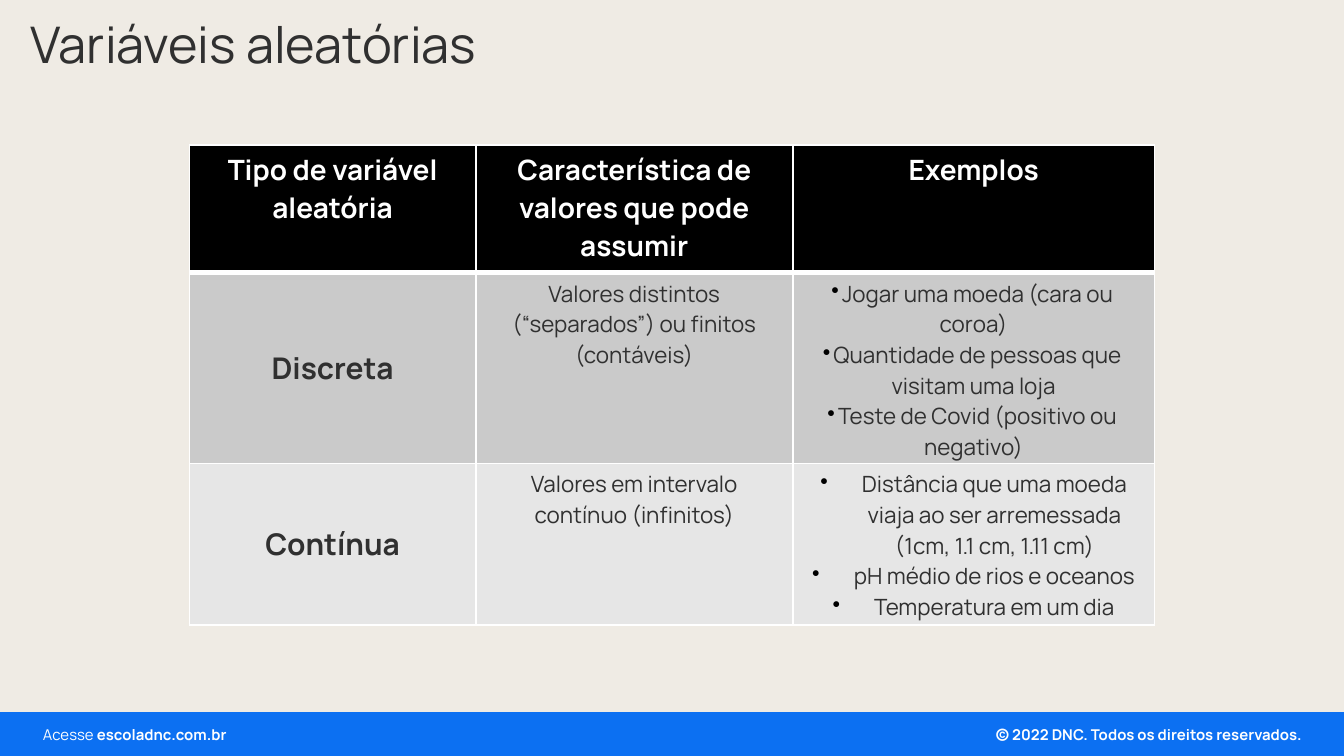
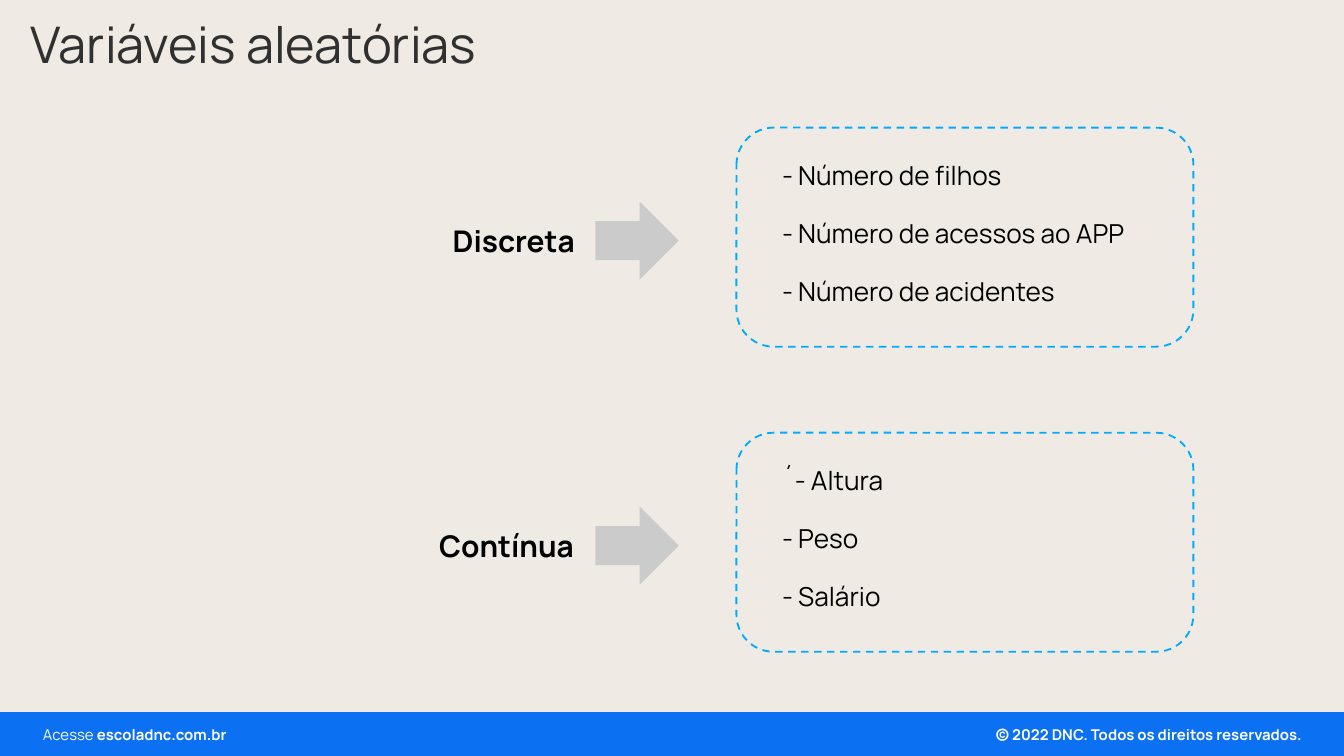
from dataclasses import dataclass

from lxml import etree
from pptx import Presentation
from pptx.dml.color import RGBColor
from pptx.enum.dml import MSO_LINE
from pptx.enum.shapes import MSO_SHAPE
from pptx.enum.text import MSO_ANCHOR, MSO_AUTO_SIZE, PP_ALIGN
from pptx.oxml.ns import qn
from pptx.util import Emu, Pt

RECTANGLE = MSO_SHAPE.RECTANGLE
ROUNDED = MSO_SHAPE.ROUNDED_RECTANGLE
RIGHT_ARROW = MSO_SHAPE.RIGHT_ARROW
LEFT, CENTER, RIGHT = PP_ALIGN.LEFT, PP_ALIGN.CENTER, PP_ALIGN.RIGHT
TOP, MIDDLE = MSO_ANCHOR.TOP, MSO_ANCHOR.MIDDLE
DASH = MSO_LINE.DASH
GROW = MSO_AUTO_SIZE.SHAPE_TO_FIT_TEXT

PX = 4572  # 200 px to the inch
PAGE_WIDTH, PAGE_HEIGHT = 2000, 1125


def px(length):
    return Emu(length * PX)


@dataclass(frozen=True)
class Theme:
    font: str = "Manrope"
    # Colours
    background: str = "EFEBE4"
    band: str = "0C70F2"
    ink: str = "303030"
    black: str = "000000"
    white: str = "FFFFFF"
    arrow: str = "CBCBCB"
    outline: str = "00ABFF"
    table_rows: tuple = ("000000", "CACACA", "E6E6E6")
    # Type sizes and line widths, in points
    title: int = 27
    label: int = 16
    header: int = 15
    item: int = 14
    cell: int = 12
    footer: int = 8
    item_gap: float = 14.4
    thin: int = 1
    thick: int = 3


@dataclass(frozen=True)
class Span:
    text: str
    size: int
    color: str
    bold: bool = False


class SlideMaker:
    def __init__(self, theme):
        self.theme = theme
        self.deck = Presentation()
        self.deck.slide_width = px(PAGE_WIDTH)
        self.deck.slide_height = px(PAGE_HEIGHT)
        self.page = None

    def new_page(self, title):
        theme = self.theme
        self.page = self.deck.slides.add_slide(self.deck.slide_layouts[6])
        fill = self.page.background.fill
        fill.solid()
        fill.fore_color.rgb = RGBColor.from_string(theme.background)
        # Footer band
        self.shape(RECTANGLE, (0, 1060, PAGE_WIDTH, PAGE_HEIGHT - 1060), fill=theme.band)
        rights = Span("© 2022 DNC. Todos os direitos reservados.", theme.footer, theme.white, True)
        visit = Span("Acesse ", theme.footer, theme.white)
        site = Span("escoladnc.com.br", theme.footer, theme.white, True)
        self.text((1418, 1072, 534, 42), [[rights]], align=RIGHT)
        self.text((50, 1072, 492, 42), [[visit, site]])
        # Title
        self.text((32, 12, 1730, 106), [[Span(title, theme.title, theme.ink)]])

    def add_spans(self, para, spans, align):
        para.alignment = align
        for span in spans:
            run = para.add_run()
            run.text = span.text
            font = run.font
            font.name, font.size, font.bold = self.theme.font, Pt(span.size), span.bold
            font.color.rgb = RGBColor.from_string(span.color)

    def text(self, place, lines, align=LEFT, inset=(14, 8), gap=0):
        box = self.page.shapes.add_textbox(*map(px, place))
        frame = box.text_frame
        frame.word_wrap = True
        frame.auto_size = GROW
        frame.margin_left = frame.margin_right = px(inset[0])
        frame.margin_top = frame.margin_bottom = px(inset[1])
        for index, spans in enumerate(lines):
            para = frame.add_paragraph() if index else frame.paragraphs[0]
            if index and gap:
                para.space_before = Pt(gap)
            self.add_spans(para, spans, align)

    def shape(self, kind, place, fill=None, line=None, adjustments=()):
        shape = self.page.shapes.add_shape(kind, *map(px, place))
        shape.shadow.inherit = False
        for index, value in enumerate(adjustments):
            shape.adjustments[index] = value
        if fill:
            shape.fill.solid()
            shape.fill.fore_color.rgb = RGBColor.from_string(fill)
        else:
            shape.fill.background()
        if line:
            shape.line.color.rgb = RGBColor.from_string(line)
            shape.line.width = Pt(self.theme.thin)
            shape.line.dash_style = DASH
        else:
            shape.line.fill.background()

    def bullet(self, para, margin, indent):
        properties = para._p.get_or_add_pPr()
        properties.set("marL", str(px(margin)))
        properties.set("indent", str(px(indent)))
        color = etree.SubElement(properties, qn("a:buClr"))
        etree.SubElement(color, qn("a:srgbClr"), val=self.theme.black)
        etree.SubElement(properties, qn("a:buChar"), char="•")

    def borders(self, cell, row):
        properties = cell._tc.get_or_add_tcPr()
        thick_side = {0: "B", 1: "T"}.get(row)
        for side in "LRTB":
            width = self.theme.thick if side == thick_side else self.theme.thin
            line = etree.SubElement(properties, qn("a:ln" + side), w=str(Pt(width)))
            fill = etree.SubElement(line, qn("a:solidFill"))
            etree.SubElement(fill, qn("a:srgbClr"), val=self.theme.white)

    def cell(self, cell, row, lines, anchor=TOP, bullet=None):
        cell.margin_left = cell.margin_right = px(18)
        cell.margin_top = cell.margin_bottom = px(8)
        cell.vertical_anchor = anchor
        self.borders(cell, row)
        cell.fill.solid()
        cell.fill.fore_color.rgb = RGBColor.from_string(self.theme.table_rows[row])
        frame = cell.text_frame
        for index, span in enumerate(lines):
            para = frame.add_paragraph() if index else frame.paragraphs[0]
            if bullet:
                self.bullet(para, *bullet)
            self.add_spans(para, [span], CENTER)

    def table(self, left, top, widths, heights):
        place = (left, top, sum(widths), sum(heights))
        table = self.page.shapes.add_table(len(heights), len(widths), *map(px, place)).table
        for column, width in zip(table.columns, widths):
            column.width = px(width)
        for row, height in zip(table.rows, heights):
            row.height = px(height)
        return table


TITLE = "Variáveis aleatórias"
HEADERS = ("Tipo de variável aleatória", "Característica de valores que pode assumir", "Exemplos")
# Type, values, examples, bullet margin and indent
VARIABLE_TYPES = (
    ("Discreta", "Valores distintos (“separados”) ou finitos (contáveis)",
     ("Jogar uma moeda (cara ou coroa)",
      "Quantidade de pessoas que visitam uma loja",
      "Teste de Covid (positivo ou negativo)"), (0, -16)),
    ("Contínua", "Valores em intervalo contínuo (infinitos)",
     ("Distância que uma moeda viaja ao ser arremessada (1cm, 1.1 cm, 1.11 cm)",
      "pH médio de rios e oceanos",
      "Temperatura em um dia"), (62, -62)),
)
# Type, label left, label width, examples
EXAMPLES = (
    ("Discreta", 654, 230,
     ("- Número de filhos", "- Número de acessos ao APP", "- Número de acidentes")),
    ("Contínua", 634, 272, ("´- Altura", "- Peso", "- Salário")),
)


def build_type_table(maker):
    theme = maker.theme
    maker.new_page(TITLE)
    table = maker.table(282, 216, (426, 472, 538), (190, 284, 240))
    for column, header in enumerate(HEADERS):
        span = Span(header, theme.header, theme.white, True)
        maker.cell(table.cell(0, column), 0, [span])
    for row, (name, values, examples, bullet) in enumerate(VARIABLE_TYPES, 1):
        label = Span(name, theme.label, theme.ink, True)
        maker.cell(table.cell(row, 0), row, [label], anchor=MIDDLE)
        maker.cell(table.cell(row, 1), row, [Span(values, theme.cell, theme.ink)])
        spans = [Span(example, theme.cell, theme.ink) for example in examples]
        maker.cell(table.cell(row, 2), row, spans, bullet=bullet)


def build_examples(maker):
    theme = maker.theme
    maker.new_page(TITLE)
    for index, (name, left, width, examples) in enumerate(EXAMPLES):
        top = 190 + 454 * index
        label = Span(name, theme.label, theme.black, True)
        maker.text((left, top + 131, width, 74), [[label]], inset=(20, 10))
        maker.shape(RIGHT_ARROW, (886, top + 110, 124, 116), fill=theme.arrow,
                    adjustments=(0.5, 0.5))
        maker.shape(ROUNDED, (1096, top, 680, 326), line=theme.outline, adjustments=(0.17,))
        lines = [[Span(example, theme.item, theme.black)] for example in examples]
        maker.text((1144, top + 37, 582, 256), lines, inset=(20, 10), gap=theme.item_gap)


def main():
    maker = SlideMaker(Theme())
    build_type_table(maker)
    build_examples(maker)
    maker.deck.save("out.pptx")


if __name__ == "__main__":
    main()
